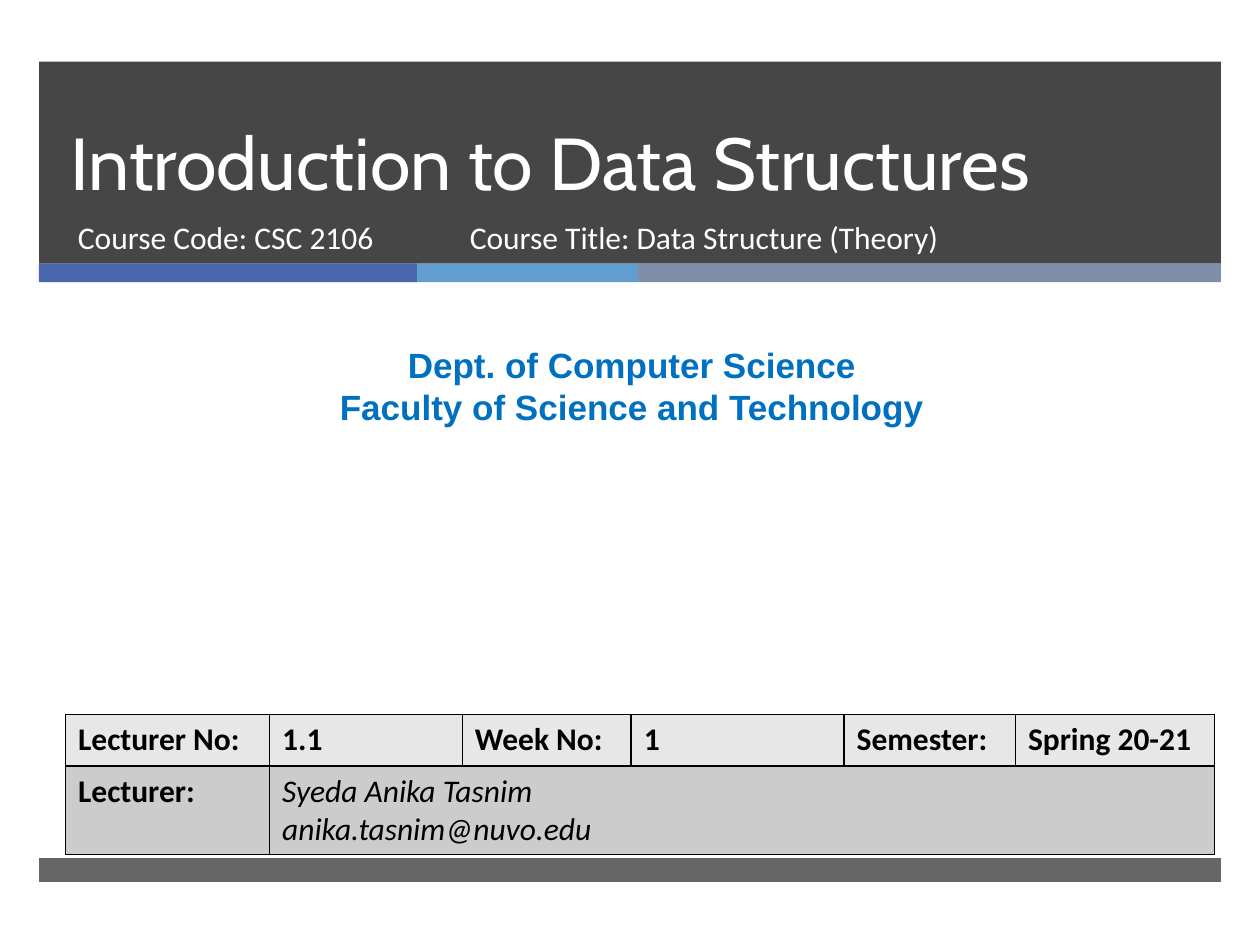
from lxml.etree import SubElement
from pptx import Presentation
from pptx.dml.color import RGBColor
from pptx.enum.shapes import MSO_SHAPE
from pptx.enum.text import MSO_ANCHOR, PP_ALIGN
from pptx.oxml import parse_xml
from pptx.oxml.ns import nsdecls, qn
from pptx.util import Inches, Pt

LEFT, WIDTH = 0.31, 9.38
HEADER_TOP, HEADER_HEIGHT = 0.49, 1.6
STRIPE_HEIGHT = 0.15


def paint(target, color):
    """Give a fill or a font a hex colour."""
    if hasattr(target, "solid"):
        target.solid()
        target.fore_color.rgb = RGBColor.from_string(color)
    else:
        target.color.rgb = RGBColor.from_string(color)


def set_font(paragraph, name, size, color, bold=False, italic=False):
    """Format a whole paragraph."""
    font = paragraph.font
    font.name, font.size, font.bold, font.italic = name, Pt(size), bold, italic
    paint(font, color)


def add_bar(slide, box, color, opacity=100):
    """Add a borderless rectangle with the given opacity in percent."""
    shape = slide.shapes.add_shape(MSO_SHAPE.RECTANGLE, *map(Inches, box))
    shape.shadow.inherit = False
    shape.line.fill.background()
    paint(shape.fill, color)
    if opacity < 100:
        fill_color = shape.element.spPr.find(qn("a:solidFill"))[0]
        SubElement(fill_color, qn("a:alpha"), val=str(opacity * 1000))


def add_text(slide, box, lines, name, size, color, bold=False, align=PP_ALIGN.LEFT):
    """Add a wrapped text box with one paragraph per line."""
    frame = slide.shapes.add_textbox(*map(Inches, box)).text_frame
    frame.word_wrap = True
    frame.text = "\n".join(lines)
    for paragraph in frame.paragraphs:
        paragraph.alignment = align
        set_font(paragraph, name, size, color, bold)


def add_header(slide, left, top, width, height):
    """Build the dark band with the title and course details."""
    add_bar(slide, (left, top, width, height), "262626", 85)
    title = slide.shapes.title
    slide.shapes.element.append(title.element)
    title.left, title.top = Inches(left + 0.15), Inches(top)
    title.width, title.height = Inches(8.54), Inches(1.19)
    frame = title.text_frame
    frame.text = "Introduction to Data Structures"
    frame.vertical_anchor = MSO_ANCHOR.BOTTOM
    paragraph = frame.paragraphs[0]
    paragraph.alignment = PP_ALIGN.LEFT
    paragraph.line_spacing = Pt(46)
    set_font(paragraph, "Cabin", 42, "FFFFFF")
    details = [
        (0.21, 3.05, "Course Code: CSC 2106"),
        (3.32, 4.55, "Course Title: Data Structure (Theory)"),
    ]
    for offset, detail_width, text in details:
        box = (left + offset, top + 1.19, detail_width, 0.53)
        add_text(slide, box, [text], "Calibri", 18, "FFFFFF")


def add_stripe(slide, left, top, width, height):
    """Build the three-coloured stripe under the header."""
    for share, color in [(0.32, "4A66AC"), (0.187, "629DD1"), (0.493, "7F8FA9")]:
        add_bar(slide, (left, top, width * share, height), color)
        left += width * share


def format_cell(cell, fill, bold, italic):
    """Fill a cell, format its text and draw its borders."""
    paint(cell.fill, fill)
    for paragraph in cell.text_frame.paragraphs:
        set_font(paragraph, "Calibri", 18, "000000", bold, italic)
    properties = cell._tc.get_or_add_tcPr()
    for index, side in enumerate(("lnL", "lnR", "lnT", "lnB")):
        properties.insert(index, parse_xml(
            f'<a:{side} {nsdecls("a")} w="12700"><a:solidFill>'
            f'<a:srgbClr val="000000"/></a:solidFill></a:{side}>'))


def add_lecture_table(slide, left, top, width, height):
    """Build the table of lecture details."""
    rows = [
        ["Lecturer No:", "1.1", "Week No:", "1", "Semester:", "Spring 20-21"],
        ["Lecturer:", "Syeda Anika Tasnim\nanika.tasnim@nuvo.edu"],
    ]
    box = map(Inches, (left, top, width, height))
    table = slide.shapes.add_table(2, 6, *box).table
    for column, column_width in zip(table.columns, (1.62, 1.53, 1.34, 1.69, 1.36, 1.58)):
        column.width = Inches(column_width)
    for row, row_height in zip(table.rows, (0.41, 0.7)):
        row.height = Inches(row_height)
    table.cell(1, 1).merge(table.cell(1, 5))
    for row_index, (texts, fill) in enumerate(zip(rows, ("E7E7E7", "CCCCCC"))):
        for column_index in range(6):
            cell = table.cell(row_index, column_index)
            if column_index < len(texts):
                cell.text = texts[column_index]
            is_lecturer = row_index == 1 and column_index > 0
            format_cell(cell, fill, not is_lecturer, is_lecturer)


def main():
    """Build and save the title slide."""
    presentation = Presentation()
    presentation.slide_width, presentation.slide_height = Inches(10), Inches(7.5)
    slide = presentation.slides.add_slide(presentation.slide_layouts[5])
    add_stripe(slide, LEFT, HEADER_TOP + HEADER_HEIGHT, WIDTH, STRIPE_HEIGHT)
    add_bar(slide, (LEFT, 6.81, WIDTH, 0.19), "262626", 70)
    add_header(slide, LEFT, HEADER_TOP, WIDTH, HEADER_HEIGHT)
    department = ["Dept. of Computer Science", "Faculty of Science and Technology"]
    add_text(slide, (0.08, 2.68, 9.87, 0.77), department, "Arial", 20, "0070C0",
             True, PP_ALIGN.CENTER)
    add_lecture_table(slide, 0.52, 5.67, 9.12, 1.11)
    presentation.save("out.pptx")


main()
